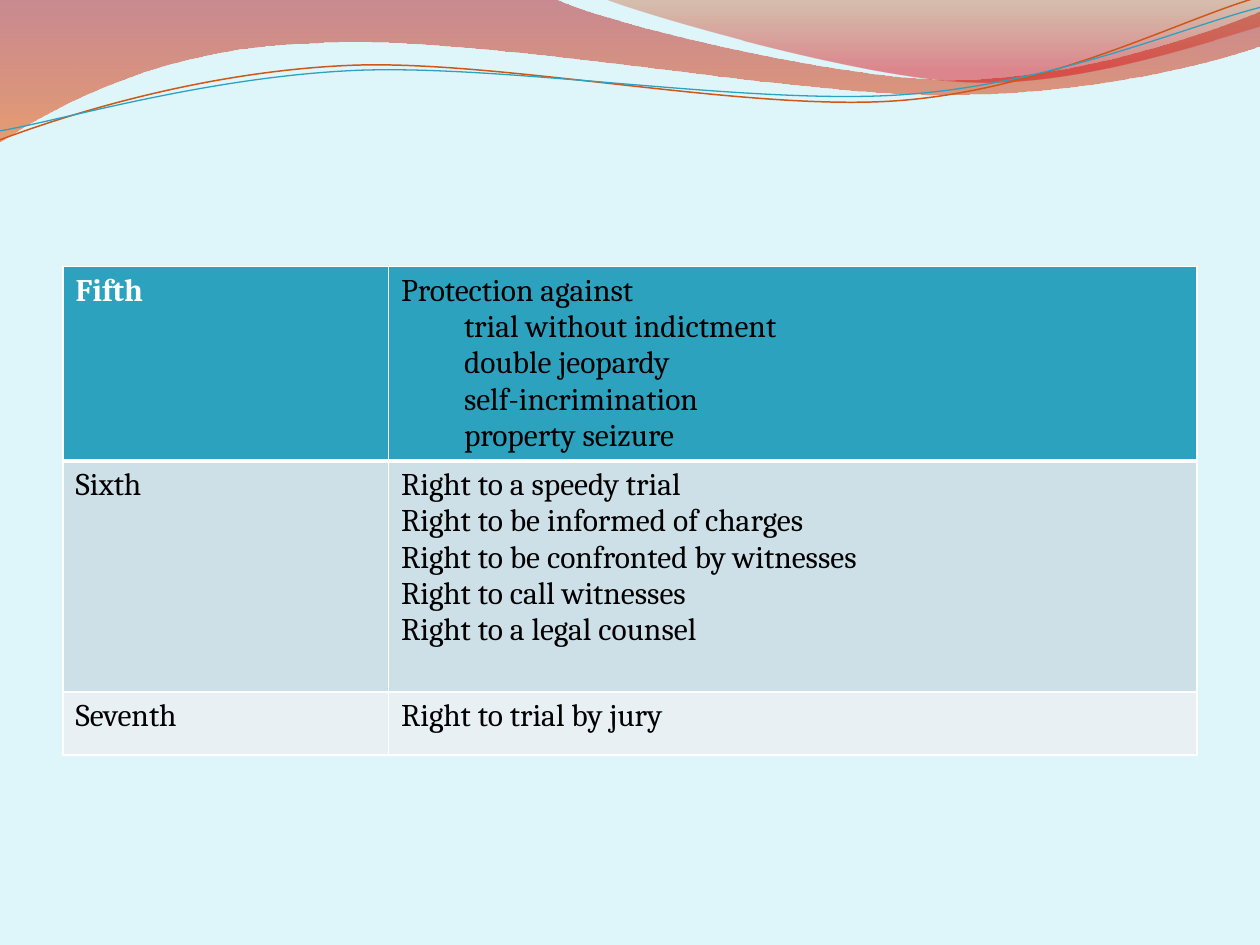
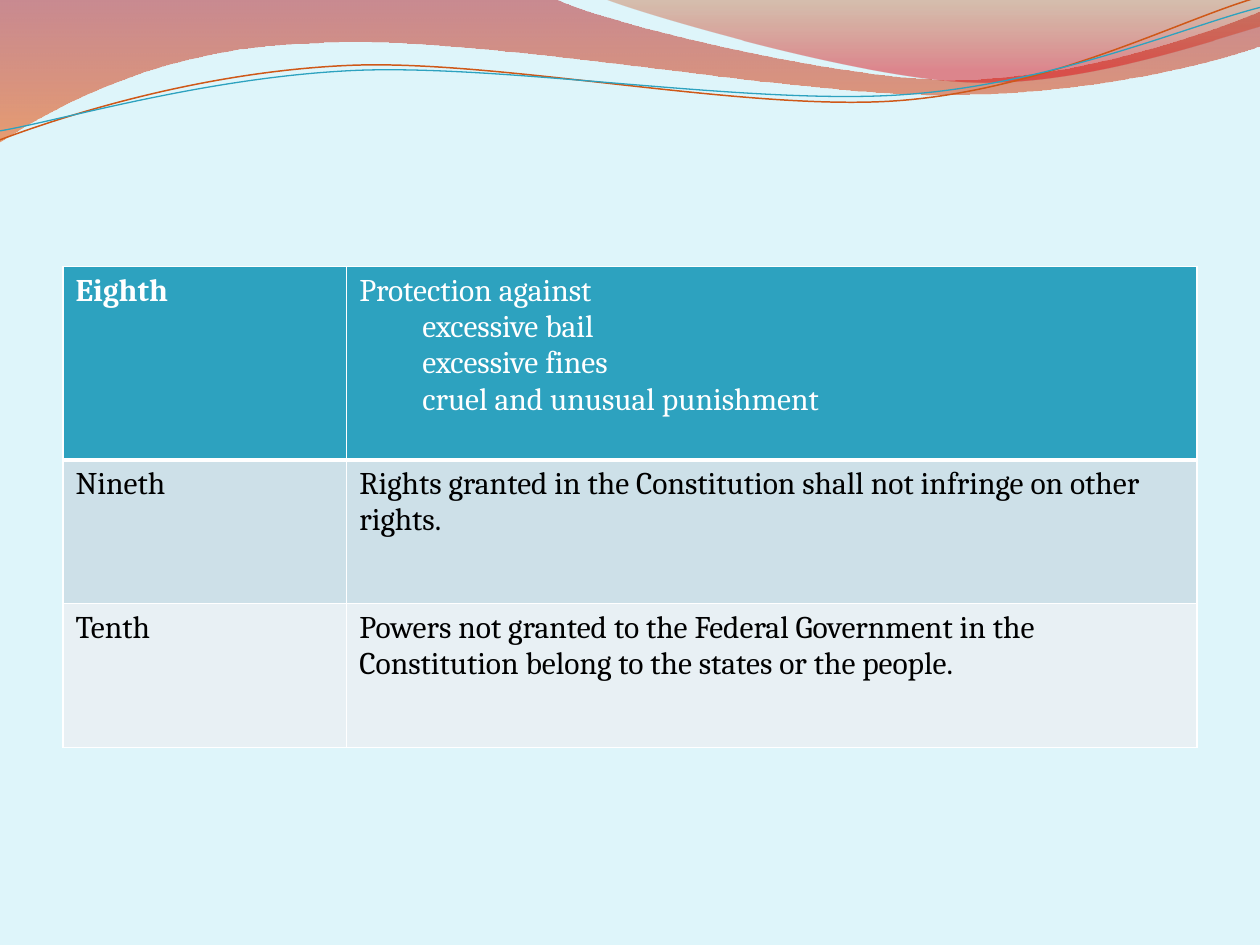
"""Build two slides that list the Fifth to Tenth Amendments under a wave banner."""
from math import cos, radians, sin

from lxml.etree import SubElement
from pptx import Presentation
from pptx.dml.color import RGBColor as RGB
from pptx.oxml.ns import qn
from pptx.util import Cm, Pt

COLORS = {
    "background": "DEF5FA",
    "teal": "2DA2BF",
    "orange": "CF5818",
    "band_dark": "CDE0E8",
    "band_light": "E8F0F4",
    "white": "FFFFFF",
    "black": "000000",
    "ribbon_top": "AF0911",
    "ribbon_bottom": "EE5300",
    "fan_top": "C24400",
    "fan_bottom": "DC000B",
}
FONT = "Cambria"
ROW_FILLS = ("teal", "band_dark", "band_light")
WAVE_TILT = -2.7

RIBBON_BOX = (-0.03, -0.03, 25.45, 2.9)
RIBBON = [
    [(0, 0)],
    [(11.18, -0.03)],
    [(12.09, 0.43), (16.87, 1.6), (19.25, 1.6)],
    [(21.67, 1.6), (24.33, 0.66), (25.4, 0.23)],
    [(25.43, 0.91)],
    [(24.97, 1.12), (22.1, 1.93), (18.95, 1.91)],
    [(15.8, 1.91), (9.7, 0.71), (6.53, 0.86)],
    [(3.28, 0.91), (1.17, 2.11), (-0.03, 2.87)],
    [(0, 0)],
]
FAN_BOX = (12.17, -0.03, 13.23, 1.78)
FAN = [
    [(12.17, -0.03)],
    [(12.93, 0.28), (17.32, 1.57), (19.53, 1.65)],
    [(21.74, 1.75), (24.41, 0.81), (25.4, 0.53)],
    [(25.4, 0)],
    [(12.17, -0.03)],
]
ORANGE_BOX = (-0.05, 0.56, 25.45, 1.8)
ORANGE_WAVE = [
    [(0, 2.82)],
    [(1.22, 2.36), (4.01, 1.45), (7.04, 1.32)],
    [(10.03, 1.19), (15.06, 2.26), (18.11, 2.03)],
    [(21.16, 1.8), (23.83, 0.38), (25.35, -0.05)],
]
TEAL_BOX = (-0.05, 0.76, 25.48, 1.47)
TEAL_WAVE = [
    [(0, 2.64)],
    [(1.19, 2.44), (4.17, 1.55), (7.19, 1.42)],
    [(10.24, 1.3), (15.16, 2.13), (18.21, 1.91)],
    [(21.23, 1.7), (23.9, 0.53), (25.4, 0.15)],
]

FIFTH_TO_SEVENTH = [
    ("Fifth", ["Protection against", "trial without indictment", "double jeopardy",
               "self-incrimination", "property seizure"]),
    ("Sixth", ["Right to a speedy trial", "Right to be informed of charges",
               "Right to be confronted by witnesses", "Right to call witnesses",
               "Right to a legal counsel"]),
    ("Seventh", ["Right to trial by jury"]),
]
EIGHTH_TO_TENTH = [
    ("Eighth", ["Protection against", "excessive bail", "excessive fines",
                "cruel and unusual punishment"]),
    ("Nineth", ["Rights granted in the Constitution shall not infringe on other rights."]),
    ("Tenth", ["Powers not granted to the Federal Government in the Constitution "
               "belong to the states or the people."]),
]


def rgb(name):
    """Return the named colour."""
    return RGB.from_string(COLORS[name])


def local_point(point, box, tilt):
    """Return a slide point relative to its box before the box is tilted."""
    left, top, width, height = box
    x, y = point[0] - left - width / 2, point[1] - top - height / 2
    turn = radians(-tilt)
    return (Cm(x * cos(turn) - y * sin(turn) + width / 2),
            Cm(x * sin(turn) + y * cos(turn) + height / 2))


def draw_outline(slide, box, segments, tilt=0, closed=False):
    """Draw a freeform of straight lines and cubic curves in a box."""
    left, top, width, height = box
    builder = slide.shapes.build_freeform(Cm(left), Cm(top))
    builder.add_line_segments([(Cm(left + width), Cm(top + height))], close=False)
    outline = builder.convert_to_shape()
    outline.shadow.inherit = False
    outline.rotation = tilt
    path_xml = next(outline.element.iter(qn("a:path")))
    for placeholder_step in list(path_xml):
        path_xml.remove(placeholder_step)
    for index, segment in enumerate(segments):
        kind = "cubicBezTo" if len(segment) == 3 else "lnTo" if index else "moveTo"
        step = SubElement(path_xml, qn(f"a:{kind}"))
        for point in segment:
            x, y = local_point(point, box, tilt)
            SubElement(step, qn("a:pt"), x=str(x), y=str(y))
    if closed:
        SubElement(path_xml, qn("a:close"))
    return outline


def add_band(slide, box, segments, stops):
    """Add a closed band with a see-through gradient running down."""
    band = draw_outline(slide, box, segments, closed=True)
    band.line.fill.background()
    band.fill.gradient()
    band.fill.gradient_angle = 270
    for stop, (position, color, _) in zip(band.fill.gradient_stops, stops):
        stop.position = position
        stop.color.rgb = rgb(color)
    for stop_xml, (_, _, opacity) in zip(band.element.iter(qn("a:gs")), stops):
        SubElement(stop_xml[0], qn("a:alpha"), val=str(opacity * 1000))
    return band


def add_wave(slide, box, segments, color, width):
    """Add an open, tilted wave line."""
    wave = draw_outline(slide, box, segments, WAVE_TILT)
    wave.fill.background()
    wave.line.color.rgb = rgb(color)
    wave.line.width = Pt(width)
    return wave


def add_banner(master, slide):
    """Draw the wave banner on a slide and move it to the master."""
    banner = [
        add_band(slide, RIBBON_BOX, RIBBON, [(0, "ribbon_top", 45), (1, "ribbon_bottom", 55)]),
        add_band(slide, FAN_BOX, FAN, [(0, "fan_top", 30), (0.8, "fan_bottom", 45)]),
        add_wave(slide, ORANGE_BOX, ORANGE_WAVE, "orange", 0.85),
        add_wave(slide, TEAL_BOX, TEAL_WAVE, "teal", 0.75),
    ]
    first_id = max(shape.shape_id for shape in master.shapes) + 1
    for offset, part in enumerate(banner):
        part.element.nvSpPr.cNvPr.set("id", str(first_id + offset))
        master.shapes.element.insert(2 + offset, part.element)


def set_borders(cell, top, bottom):
    """Give a cell white borders; top and bottom widths are in points."""
    properties = cell._tc.get_or_add_tcPr()
    for side, width in (("L", 1), ("R", 1), ("T", top), ("B", bottom)):
        border = SubElement(properties, qn(f"a:ln{side}"), w=str(Pt(width)))
        fill = SubElement(border, qn("a:solidFill"))
        SubElement(fill, qn("a:srgbClr"), val=COLORS["white"])


def write_cell(cell, lines, color, bold=False, indented=False):
    """Write one paragraph per line, optionally indenting all after the first."""
    cell.text = "\n".join(lines)
    for index, paragraph in enumerate(cell.text_frame.paragraphs):
        if indented and index:
            paragraph.level = 1
            properties = paragraph._p.get_or_add_pPr()
            properties.set("marL", str(Cm(1.27)))
            properties.set("indent", "0")
        font = paragraph.font
        font.name, font.size, font.bold = FONT, Pt(18), bold
        font.color.rgb = rgb(color)


def add_amendments(slide, amendments, widths, heights, header_color):
    """Add a table of amendments and the rights they give."""
    table = slide.shapes.add_table(len(amendments), 2, Cm(1.27), Cm(5.37),
                                   Cm(sum(widths)), Cm(sum(heights))).table
    table.horz_banding = False
    for column, width in zip(table.columns, widths):
        column.width = Cm(width)
    for index, (number, rights) in enumerate(amendments):
        header = index == 0
        row = table.rows[index]
        row.height = Cm(heights[index])
        for cell in row.cells:
            set_borders(cell, 3 if index == 1 else 1, 3 if header else 1)
            cell.fill.solid()
            cell.fill.fore_color.rgb = rgb(ROW_FILLS[index])
        number_cell, rights_cell = row.cells
        write_cell(number_cell, [number], "white" if header else "black", bold=header)
        write_cell(rights_cell, rights, header_color if header else "black", indented=header)


def main():
    """Build and save the presentation."""
    prs = Presentation()
    prs.slide_width, prs.slide_height = Cm(25.4), Cm(19.05)
    master = prs.slide_master
    master.background.fill.solid()
    master.background.fill.fore_color.rgb = rgb("background")
    blank = prs.slide_layouts[6]

    first = prs.slides.add_slide(blank)
    add_banner(master, first)
    add_amendments(first, FIFTH_TO_SEVENTH, (6.56, 16.3), (3.9, 4.66, 1.27), "black")

    second = prs.slides.add_slide(blank)
    add_amendments(second, EIGHTH_TO_TENTH, (5.72, 17.14), (3.9, 2.9, 2.9), "white")
    prs.save("out.pptx")


if __name__ == "__main__":
    main()
